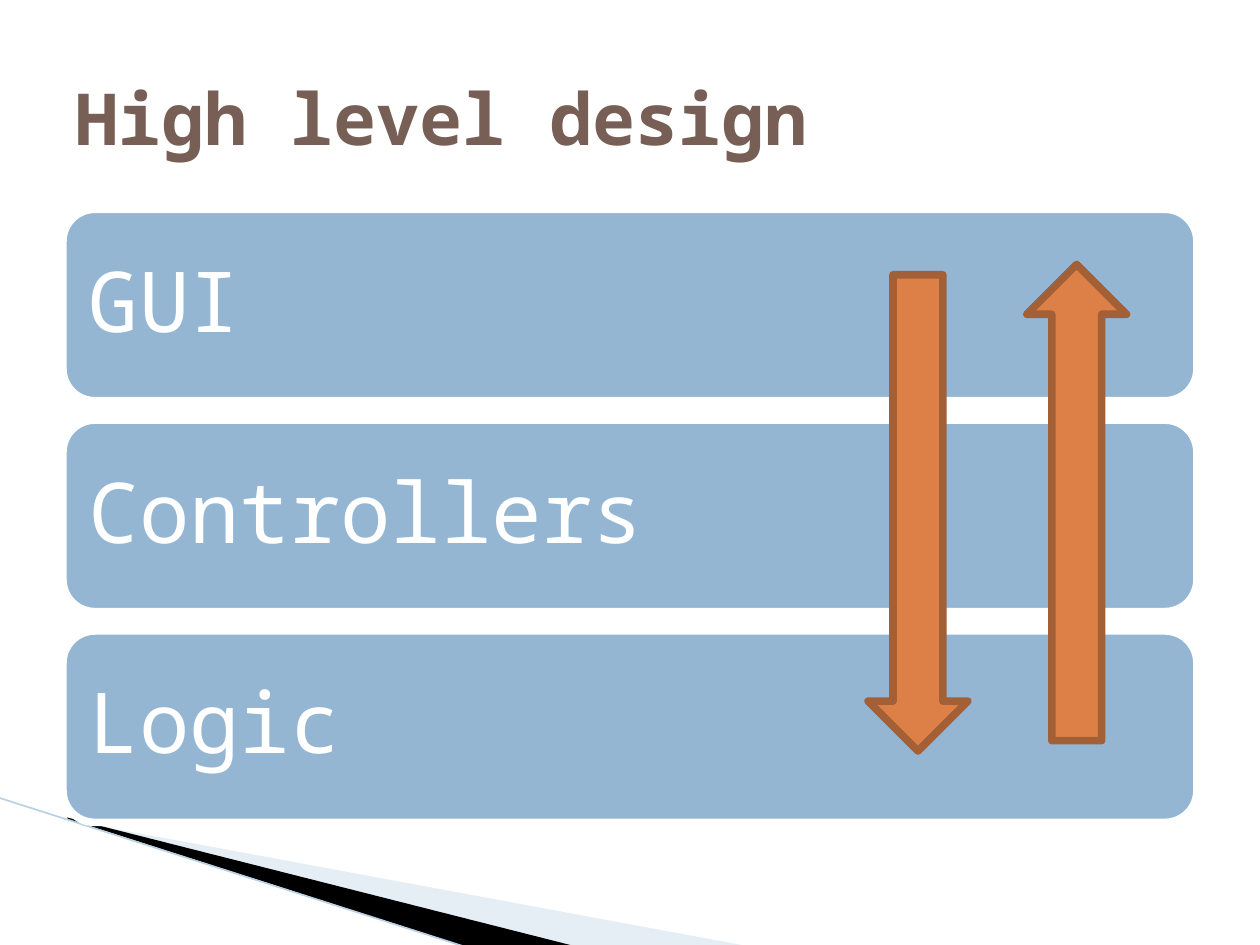
from lxml import etree
from pptx import Presentation
from pptx.dml.color import RGBColor
from pptx.enum import shapes, text
from pptx.oxml.ns import qn
from pptx.util import Cm, Pt

FONT = "Noto Sans Mono"
TITLE = "High level design"
LAYERS = ["GUI", "Controllers", "Logic"]
ARROWS = [(17.5, 5.54, 0), (20.7, 5.33, 180)]  # left, top, rotation
WEDGES = [  # corners, colour, opacity in percent
    ([(1.4, 16.54), (15.11, 19.08), (11.58, 19.08), (1.4, 16.51)], "C0D3E6", 40),
    ([(1.35, 16.48), (11.61, 19.08), (9.45, 19.1), (1.37, 16.51)], "000000", 100),
]
EDGE = [(-0.03, 16.08), (9.42, 19.1)]
LEFT, WIDTH = 1.27, 22.86
BAR_TOP, BAR_HEIGHT, BAR_STEP = 4.22, 3.86, 4.25


def rgb(value):
    """Turn a hex string into a colour."""
    return RGBColor.from_string(value)


def paint(shape, fill, line=None):
    """Set a shape's fill and outline, without a shadow."""
    shape.shadow.inherit = False
    shape.fill.solid()
    shape.fill.fore_color.rgb = rgb(fill)
    if line is None:
        shape.line.fill.background()
    else:
        shape.line.color.rgb = rgb(line)
        shape.line.width = Pt(4.33)
        etree.SubElement(shape.line._get_or_add_ln(), qn("a:round"))


def write(shape, words, size, colour, bold=False):
    """Write one left-aligned, vertically centred line in a shape."""
    frame = shape.text_frame
    frame.word_wrap = True
    frame.auto_size = text.MSO_AUTO_SIZE.NONE
    frame.vertical_anchor = text.MSO_ANCHOR.MIDDLE
    para = frame.paragraphs[0]
    para.alignment = text.PP_ALIGN.LEFT
    span = para.add_run()
    span.text = words
    span.font.name = FONT
    span.font.size = Pt(size)
    span.font.bold = bold
    span.font.color.rgb = rgb(colour)
    return para


def add_wedge(page, corners, colour, opacity):
    """Draw a filled polygon in the lower corner."""
    points = [(Cm(x), Cm(y)) for x, y in corners]
    builder = page.shapes.build_freeform(*points[0])
    builder.add_line_segments(points[1:], close=True)
    wedge = builder.convert_to_shape()
    paint(wedge, colour)
    if opacity < 100:
        tint = wedge._element.spPr.find(qn("a:solidFill"))[0]
        etree.SubElement(tint, qn("a:alpha"), val=str(opacity * 1000))


def add_edge(page):
    """Draw the thin line along the wedges."""
    (x1, y1), (x2, y2) = EDGE
    edge = page.shapes.add_connector(
        shapes.MSO_CONNECTOR.STRAIGHT, Cm(x1), Cm(y1), Cm(x2), Cm(y2))
    edge.line.color.rgb = rgb("BBD0E3")
    edge.line.width = Pt(0.95)
    etree.SubElement(edge._element.spPr, qn("a:effectLst"))


def add_layer(page, index, name):
    """Add one bar of the stack."""
    bar = page.shapes.add_shape(
        shapes.MSO_SHAPE.ROUNDED_RECTANGLE, Cm(LEFT),
        Cm(BAR_TOP + index * BAR_STEP), Cm(WIDTH), Cm(BAR_HEIGHT))
    paint(bar, "94B6D2", "FFFFFF")
    bar.text_frame.margin_left = bar.text_frame.margin_right = Cm(0.33)
    write(bar, name, 48, "FFFFFF").line_spacing = 0.9


def add_arrow(page, left, top, rotation):
    """Add one block arrow across the layers."""
    arrow = page.shapes.add_shape(
        shapes.MSO_SHAPE.DOWN_ARROW, Cm(left), Cm(top), Cm(2.01), Cm(9.6))
    arrow.rotation = rotation
    paint(arrow, "DD8047", "A35F35")


deck = Presentation()
deck.slide_width, deck.slide_height = Cm(25.4), Cm(19.05)
page = deck.slides.add_slide(deck.slide_layouts[5])

title = page.shapes.title
title.left, title.top = Cm(LEFT), Cm(0.76)
title.width, title.height = Cm(WIDTH), Cm(3.18)
write(title, TITLE, 41, "775F55", bold=True)

for wedge in WEDGES:
    add_wedge(page, *wedge)
add_edge(page)
for index, name in enumerate(LAYERS):
    add_layer(page, index, name)
for arrow in ARROWS:
    add_arrow(page, *arrow)

deck.save("out.pptx")
